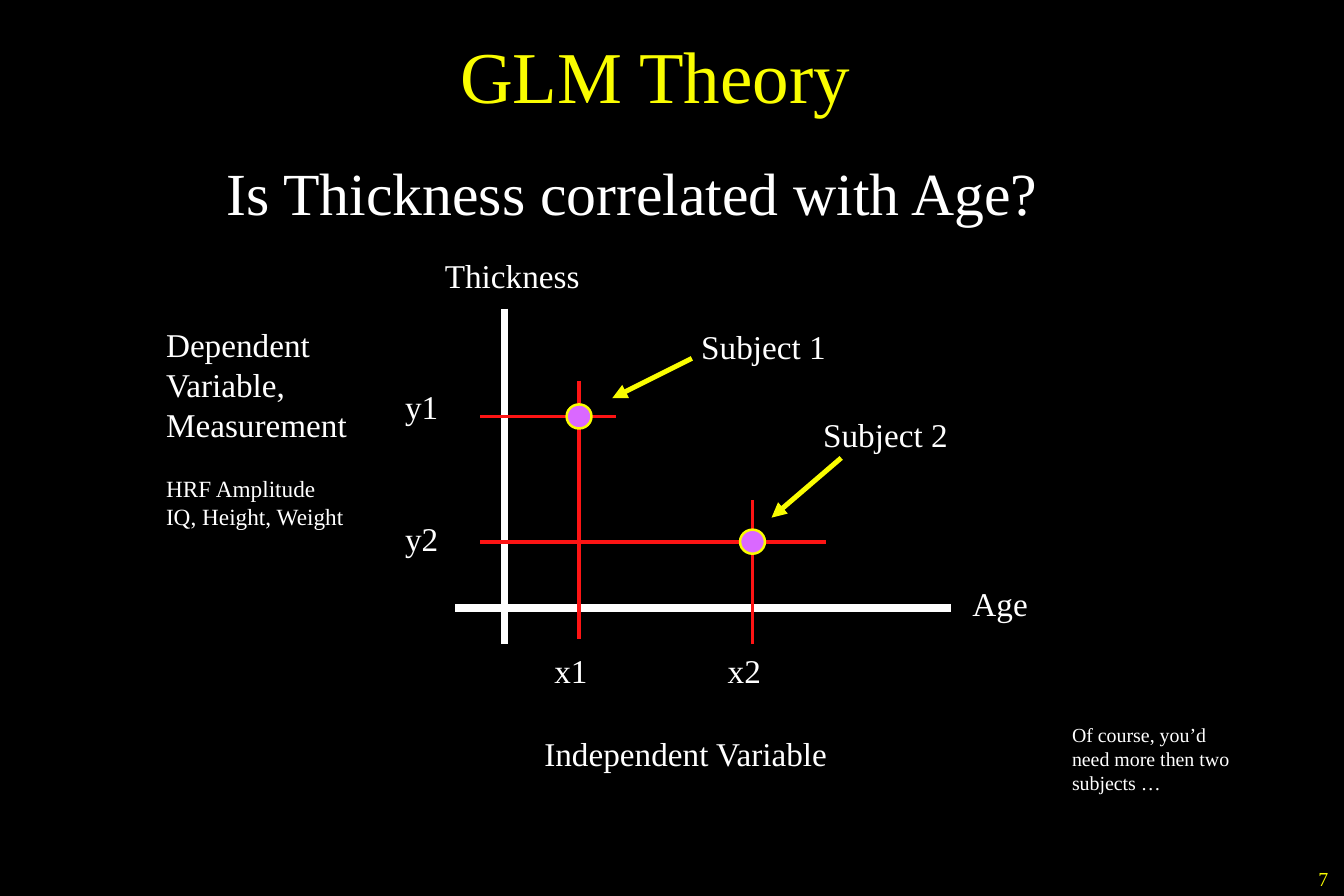
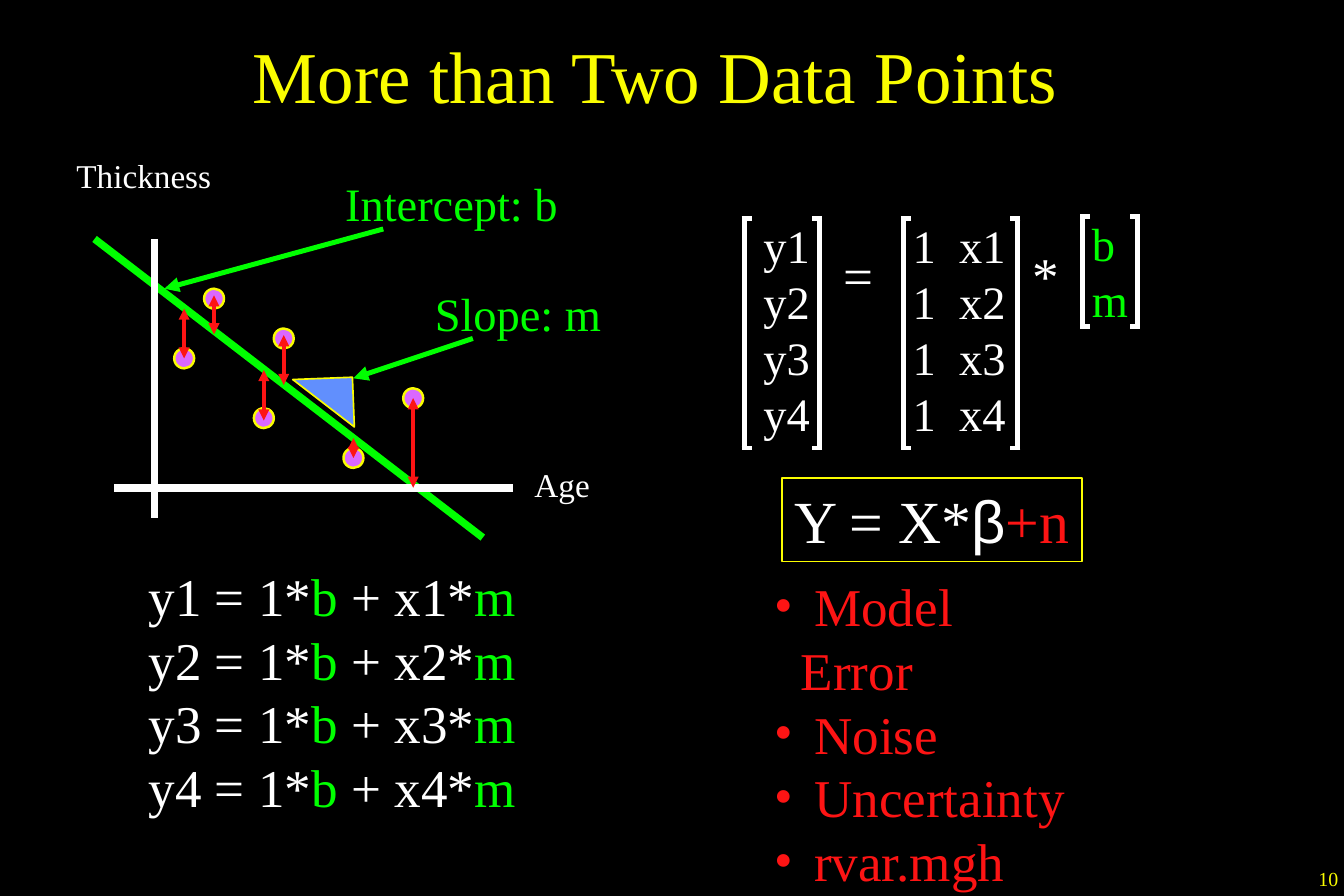
"""Build two slides that introduce the general linear model."""
from lxml import etree
from pptx import Presentation
from pptx.dml.color import RGBColor
from pptx.enum.shapes import MSO_CONNECTOR, MSO_SHAPE
from pptx.enum.text import MSO_ANCHOR, MSO_AUTO_SIZE, PP_ALIGN
from pptx.oxml.ns import qn
from pptx.util import Pt

STRAIGHT = MSO_CONNECTOR.STRAIGHT
OVAL = MSO_SHAPE.OVAL
RECTANGLE = MSO_SHAPE.RECTANGLE
RIGHT_TRIANGLE = MSO_SHAPE.RIGHT_TRIANGLE
MIDDLE, TOP = MSO_ANCHOR.MIDDLE, MSO_ANCHOR.TOP
NO_AUTOSIZE = MSO_AUTO_SIZE.NONE
LEFT, CENTER = PP_ALIGN.LEFT, PP_ALIGN.CENTER

COLORS = {
    "background": "000000",
    "text": "FFFFFF",
    "accent": "FAFD00",
    "error": "FD1414",
    "model": "00FF00",
    "point": "DA68FF",
    "slope": "618FFD",
}
SERIF, SANS = "Times New Roman", "Arial"
TITLE_ONLY, TITLE_AND_BODY = 5, 1


def rgb(name):
    """Return the named palette colour."""
    return RGBColor.from_string(COLORS[name])


def place(shape, left, top, width, height):
    """Set the position and size of a shape in points."""
    shape.left, shape.top = Pt(left), Pt(top)
    shape.width, shape.height = Pt(width), Pt(height)


def add_run(paragraph, text, size, color, font=SERIF):
    """Add one formatted run."""
    run = paragraph.add_run()
    run.text = text
    run.font.size = Pt(size)
    run.font.name = font
    run.font.color.rgb = rgb(color)


def write(frame, lines, size, color="text", align=LEFT):
    """Fill a frame; a line is a string or a list of run tuples."""
    for index, line in enumerate(lines):
        paragraph = frame.add_paragraph() if index else frame.paragraphs[0]
        paragraph.alignment = align
        paragraph.space_before = Pt(0)
        runs = [(line, color)] if isinstance(line, str) else line
        for text, *style in runs:
            add_run(paragraph, text, size, *style)


def add_text(slide, left, top, width, height, lines, size=20, color="text"):
    """Add a text box and return its frame."""
    box = slide.shapes.add_textbox(Pt(left), Pt(top), Pt(width), Pt(height))
    frame = box.text_frame
    frame.word_wrap = True
    write(frame, lines, size, color)
    return frame


def add_line(slide, start, end, color, width, ends=()):
    """Add a straight line with arrowheads at the listed ends."""
    line = slide.shapes.add_connector(
        STRAIGHT, *(Pt(value) for value in (*start, *end)))
    line.line.color.rgb = rgb(color)
    line.line.width = Pt(width)
    properties = line._element.spPr
    outline = properties.find(qn("a:ln"))
    for end_name in ends:
        etree.SubElement(outline, qn(f"a:{end_name}End")).set("type", "triangle")
    etree.SubElement(properties, qn("a:effectLst"))


def add_outlined(slide, kind, left, top, width, height, line_width, fill=None):
    """Add a preset shape with an accent outline."""
    shape = slide.shapes.add_shape(
        kind, Pt(left), Pt(top), Pt(width), Pt(height))
    shape.shadow.inherit = False
    if fill:
        shape.fill.solid()
        shape.fill.fore_color.rgb = rgb(fill)
    else:
        shape.fill.background()
    shape.line.color.rgb = rgb("accent")
    shape.line.width = Pt(line_width)
    return shape


def add_point(slide, x, y, width, height):
    """Add a data point centred on x, y."""
    add_outlined(slide, OVAL, x - width / 2, y - height / 2,
                 width, height, 1.5, "point")


def add_brackets(slide, left, right, top, bottom):
    """Add a pair of square matrix brackets."""
    for x, inward in ((left, 1), (right, -1)):
        add_line(slide, (x, top), (x, bottom), "text", 3)
        for y in (top, bottom):
            add_line(slide, (x - 1.5 * inward, y), (x + 4.5 * inward, y),
                     "text", 3)


def add_bullets(body, items, size, color, indent):
    """Write a bulleted list in the body placeholder."""
    frame = body.text_frame
    frame.auto_size = NO_AUTOSIZE
    frame.vertical_anchor = TOP
    write(frame, items, size, color)
    for paragraph in frame.paragraphs:
        properties = paragraph._p.get_or_add_pPr()
        properties.set("marL", str(Pt(indent)))
        properties.set("indent", str(Pt(-indent)))
        bullet_color = etree.SubElement(properties, qn("a:buClr"))
        etree.SubElement(bullet_color, qn("a:srgbClr")).set("val", COLORS[color])
        etree.SubElement(properties, qn("a:buFont")).set("typeface", SERIF)
        etree.SubElement(properties, qn("a:buChar")).set("char", "•")


def start_slide(presentation, layout, title, number):
    """Add a slide with its title and page number."""
    slide = presentation.slides.add_slide(presentation.slide_layouts[layout])
    place(slide.shapes.title, 51, 0, 688, 90)
    frame = slide.shapes.title.text_frame
    frame.auto_size = NO_AUTOSIZE
    frame.vertical_anchor = MIDDLE
    write(frame, [title], 44, "accent", CENTER)
    page = add_text(slide, 787.5, 518.5, 22, 21.5, [number], 12, "accent")
    page.margin_right = Pt(0)
    return slide


def build_theory(presentation):
    """Build the slide with two subjects."""
    slide = start_slide(presentation, TITLE_ONLY, "GLM Theory", "7")
    add_text(slide, 129.5, 90.5, 516, 50,
             ["Is Thickness correlated with Age?"], 36)
    add_text(slide, 93, 192, 130, 79, ["Dependent", "Variable,", "Measurement"])
    add_text(slide, 93, 282.5, 128, 41,
             ["HRF Amplitude", "IQ, Height, Weight"], 14)
    add_text(slide, 639, 432, 116, 50,
             ["Of course, you’d", "need more then two", "subjects …"], 12)
    for text, left, top, width in (
        ("Independent Variable", 321, 438.5, 194),
        ("Thickness", 261, 150.5, 102),
        ("Age", 579, 348, 54),
        ("Subject 1", 415.5, 193, 96),
        ("Subject 2", 489, 246, 96),
        ("x1", 327, 388.5, 40),
        ("x2", 431.5, 388.5, 40),
        ("y1", 237, 229.5, 40),
        ("y2", 237, 309, 40),
    ):
        add_text(slide, left, top, width, 31.5, [text])

    add_line(slide, (304, 186), (304, 388), "text", 4.5)
    add_line(slide, (274.5, 366.5), (573, 366.5), "text", 4.5)
    subjects = (
        (349, 251, 229.5, 385, 371.5),
        (453.5, 326.5, 301.5, 388, 498),
    )
    for x, y, guide_top, guide_bottom, guide_right in subjects:
        add_line(slide, (x, guide_top), (x, guide_bottom), "error", 2.25)
        add_line(slide, (289.5, y), (guide_right, y), "error", 2.25)
    for x, y, *_ in subjects:
        add_point(slide, x, y, 15, 14.5)
    add_line(slide, (417, 216), (369, 240), "accent", 3, ["tail"])
    add_line(slide, (507, 276), (465, 312), "accent", 3, ["tail"])


def build_plot(slide):
    """Draw the regression line with its residuals."""
    add_line(slide, (57, 144), (291, 324), "model", 4.5)
    add_line(slide, (99, 174), (231, 138), "model", 3, ["head"])
    triangle = add_outlined(slide, RIGHT_TRIANGLE, 177, 228, 36, 30, 1, "slope")
    triangle.rotation = 177.8
    add_text(slide, 201, 102, 150, 41, ["Intercept: b"], 28, "model")
    add_text(slide, 255, 168, 122, 41, ["Slope: m"], 28, "model")
    add_text(slide, 39, 90, 102, 31.5, ["Thickness"])
    add_text(slide, 315, 276, 54, 31.5, ["Age"])
    add_line(slide, (93, 144), (93, 312), "text", 4.5)
    add_line(slide, (69, 294), (309, 294), "text", 4.5)
    add_line(slide, (213, 228), (285, 204), "model", 3, ["head"])
    for x, y, residual_bottom, residual_top in (
        (111, 216, 216, 186),
        (129, 180, 201.5, 178),
        (159, 252, 253.5, 223),
        (171, 204, 232, 202),
        (213, 276, 276, 264),
        (249, 240, 294, 240),
    ):
        add_point(slide, x, y, 12, 12)
        add_line(slide, (x, residual_bottom), (x, residual_top),
                 "error", 2.25, ["head", "tail"])


def build_matrices(slide):
    """Write the equations in matrix form."""
    rows = range(1, 5)
    add_text(slide, 453, 127.5, 48, 142, [f"y{row}" for row in rows], 28)
    design = add_text(slide, 543, 127.5, 76, 142,
                      [f"1\tx{row}" for row in rows], 28)
    for paragraph in design.paragraphs:
        tabs = etree.SubElement(paragraph._p.get_or_add_pPr(), qn("a:tabLst"))
        etree.SubElement(tabs, qn("a:tab"), pos=str(Pt(28)), algn="l")
    add_text(slide, 651, 126, 42, 75, ["b", "m"], 28, "model")
    add_brackets(slide, 448.5, 494, 132, 270)
    add_brackets(slide, 544.5, 613.5, 132, 270)
    add_brackets(slide, 652.5, 685.5, 130.5, 196.5)
    add_text(slide, 501, 142.5, 38, 46, ["="], 32)
    add_text(slide, 615, 142.5, 36, 46, ["*"], 32)


def build_data_points(presentation):
    """Build the slide with the regression model."""
    slide = start_slide(presentation, TITLE_AND_BODY,
                        "More than Two Data Points", "10")
    build_plot(slide)
    build_matrices(slide)
    equations = [
        [(f"y{row} = 1*", "text"), ("b", "model"),
         (f" + x{row}*", "text"), ("m", "model")]
        for row in range(1, 5)
    ]
    add_text(slide, 82.5, 336, 244, 161.5, equations, 32)
    formula = add_outlined(slide, RECTANGLE, 471.5, 288, 180.5, 50.5, 1)
    formula.text_frame.word_wrap = False
    write(formula.text_frame,
          [[("Y = X*", "text"), ("β", "text", SANS), ("+n", "error")]], 36)
    body = slide.placeholders[1]
    place(body, 459.5, 342, 193, 161.5)
    add_bullets(body, [" Model Error", " Noise", " Uncertainty", " rvar.mgh"],
                32, "error", 16)


def main():
    """Create and save the presentation."""
    presentation = Presentation()
    presentation.slide_width, presentation.slide_height = Pt(810), Pt(540)
    background = presentation.slide_master.background.fill
    background.solid()
    background.fore_color.rgb = rgb("background")
    build_theory(presentation)
    build_data_points(presentation)
    presentation.save("out.pptx")


if __name__ == "__main__":
    main()
